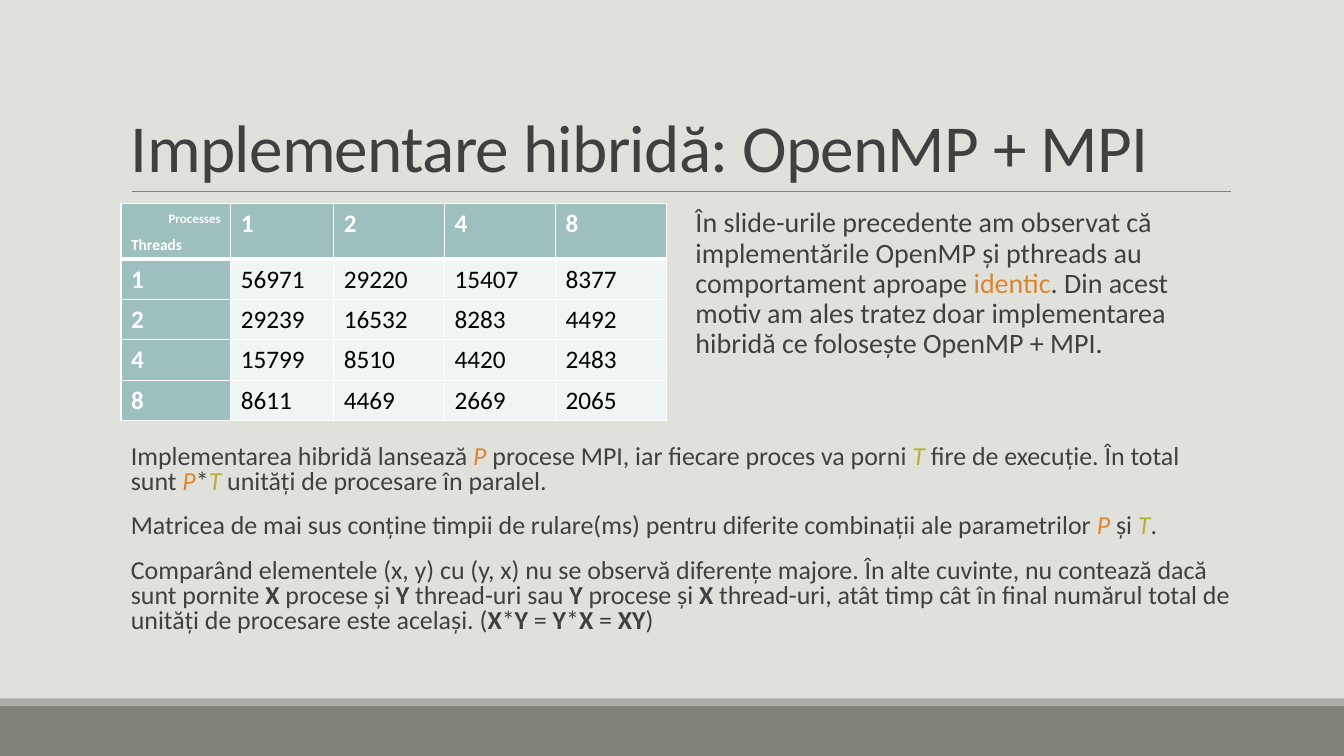
import pptx
import pptx.dml.color
import pptx.enum.shapes
import pptx.enum.text
import pptx.oxml.ns
import pptx.util
from lxml import etree

Inches = pptx.util.Inches
Pt = pptx.util.Pt
RGBColor = pptx.dml.color.RGBColor
ALIGN = pptx.enum.text.PP_ALIGN
ANCHOR = pptx.enum.text.MSO_ANCHOR
qn = pptx.oxml.ns.qn

BACKGROUND = RGBColor(0xE1, 0xE1, 0xDB)
FOOTER = RGBColor(0x82, 0x84, 0x7C)
FOOTER_EDGE = RGBColor(0xAC, 0xAD, 0xA8)
RULE = RGBColor(0x80, 0x80, 0x80)
INK = RGBColor(0x40, 0x40, 0x40)
ORANGE = RGBColor(0xDB, 0x86, 0x31)
OLIVE = RGBColor(0xB3, 0xB4, 0x35)
TEAL = RGBColor(0x9D, 0xBF, 0xBE)
PALE = RGBColor(0xEF, 0xF4, 0xF4)
WHITE = RGBColor(0xFF, 0xFF, 0xFF)
BLACK = RGBColor(0, 0, 0)

# Emphasis name: colour, bold, italic
EMPHASIS = {
    "plain": (INK, False, False),
    "accent": (ORANGE, False, False),
    "processes": (ORANGE, False, True),
    "threads": (OLIVE, False, True),
    "strong": (INK, True, False),
}
P, T = ("P", "processes"), ("T", "threads")
X, Y = ("X", "strong"), ("Y", "strong")


class SlideBuilder:
    font = "Calibri"

    def __init__(self, slide):
        self.slide = slide
        slide.background.fill.solid()
        slide.background.fill.fore_color.rgb = BACKGROUND

    def style(self, run, size, color, bold=False, italic=False):
        font = run.font
        font.name, font.size = self.font, Pt(size)
        font.bold, font.italic = bold, italic
        font.color.rgb = color

    def band(self, top, height, color):
        band = self.slide.shapes.add_shape(
            pptx.enum.shapes.MSO_SHAPE.RECTANGLE,
            0, Inches(top), Inches(13.33), Inches(height))
        band.shadow.inherit = False
        band.fill.solid()
        band.fill.fore_color.rgb = color
        band.line.fill.background()

    def rule(self, left, right, y):
        rule = self.slide.shapes.add_connector(
            pptx.enum.shapes.MSO_CONNECTOR.STRAIGHT,
            Inches(left), Inches(y), Inches(right), Inches(y))
        rule.line.color.rgb = RULE
        rule.line.width = Pt(0.5)
        etree.SubElement(rule.element.spPr, qn("a:effectLst"))

    def text(self, box, paragraphs, size, line_spacing, before=0, after=0,
             anchor=ANCHOR.TOP):
        frame = self.slide.shapes.add_textbox(*map(Inches, box)).text_frame
        frame.word_wrap = True
        frame.vertical_anchor = anchor
        for index, pieces in enumerate(paragraphs):
            paragraph = frame.add_paragraph() if index else frame.paragraphs[0]
            paragraph.line_spacing = line_spacing
            paragraph.space_before, paragraph.space_after = Pt(before), Pt(after)
            for piece in pieces:
                words, emphasis = (piece, "plain") if isinstance(piece, str) else piece
                run = paragraph.add_run()
                run.text = words
                self.style(run, size, *EMPHASIS[emphasis])
        return frame

    def border(self, cell, side, width):
        line = etree.SubElement(cell._tc.get_or_add_tcPr(), qn("a:ln" + side),
                                w=str(Pt(width)))
        fill = etree.SubElement(line, qn("a:solidFill"))
        etree.SubElement(fill, qn("a:srgbClr"), val=str(WHITE))

    def table(self, box, rows, widths, heights):
        table = self.slide.shapes.add_table(
            len(rows), len(widths), *map(Inches, box)).table
        table.horz_banding = False
        for column, width in zip(table.columns, widths):
            column.width = Inches(width)
        for row, height in zip(table.rows, heights):
            row.height = Inches(height)
        for r, values in enumerate(rows):
            for c, value in enumerate(values):
                cell = table.cell(r, c)
                heading = r == 0 or c == 0
                cell.text_frame.text = value
                for paragraph in cell.text_frame.paragraphs:
                    for run in paragraph.runs:
                        self.style(run, 18, WHITE if heading else BLACK, heading)
                for side in "LRTB":
                    thick = (r, side) in ((0, "B"), (1, "T"))
                    self.border(cell, side, 3 if thick else 1)
                cell.fill.solid()
                cell.fill.fore_color.rgb = TEAL if heading else PALE
        return table


def main():
    deck = pptx.Presentation()
    deck.slide_width, deck.slide_height = Inches(13.33), Inches(7.5)
    page = SlideBuilder(deck.slides.add_slide(deck.slide_layouts[6]))

    # Footer bands and title
    page.band(7, 0.5, FOOTER)
    page.band(6.93, 0.07, FOOTER_EDGE)
    page.rule(1.31, 12.21, 1.9)
    title = page.text((1.2, 0.31, 11, 1.59), [["Implementare hibridă: OpenMP + MPI"]],
                      48, 0.85, anchor=ANCHOR.BOTTOM)
    title.paragraphs[0].runs[0].font._element.set("spc", "-50")

    # Running times by threads (rows) and processes (columns)
    counts = ["1", "2", "4", "8"]
    times = [
        ["56971", "29220", "15407", "8377"],
        ["29239", "16532", "8283", "4492"],
        ["15799", "8510", "4420", "2483"],
        ["8611", "4469", "2669", "2065"],
    ]
    rows = [["Processes\nThreads"] + counts]
    rows += [[count] + line for count, line in zip(counts, times)]
    timings = page.table((1.2, 2.02, 5.4, 2.15), rows,
                         [1.09, 1.02, 1.1, 1.1, 1.1], [0.55] + [0.4] * 4)
    processes, threads = timings.cell(0, 0).text_frame.paragraphs
    processes.alignment = ALIGN.RIGHT
    processes.runs[0].font.size = Pt(16)
    processes.runs[0].font._element.set("baseline", "30000")
    threads.runs[0].font.size = Pt(11)

    # Remark beside the table
    page.text((6.8, 2.02, 5.4, 2.15), [[
        "În slide-urile precedente am observat că implementările OpenMP și "
        "pthreads au comportament aproape ", ("identic", "accent"),
        ". Din acest motiv am ales tratez doar implementarea hibridă ce "
        "folosește OpenMP + MPI."]], 20, 0.9, 12, 2)

    # Explanation below the table
    page.text((1.2, 4.37, 11, 2.05), [
        ["Implementarea hibridă lansează ", P,
         " procese MPI, iar fiecare proces va porni ", T,
         " fire de execuție. În total sunt ", P, "*", T,
         " unități de procesare în paralel."],
        ["Matricea de mai sus conține timpii de rulare(ms) pentru diferite "
         "combinații ale parametrilor ", P, " și ", T, "."],
        ["Comparând elementele (x, y) cu (y, x) nu se observă diferențe majore. "
         "În alte cuvinte, nu contează dacă sunt pornite ", X, " procese și ", Y,
         " thread-uri sau ", Y, " procese și ", X,
         " thread-uri, atât timp cât în final numărul total de unități de "
         "procesare este același. (", X, "*", Y, " = ", Y, "*", X, " = ",
         ("XY", "strong"), ")"],
    ], 18.5, 0.8, 12, 2).margin_right = 0

    deck.save("out.pptx")


if __name__ == "__main__":
    main()
